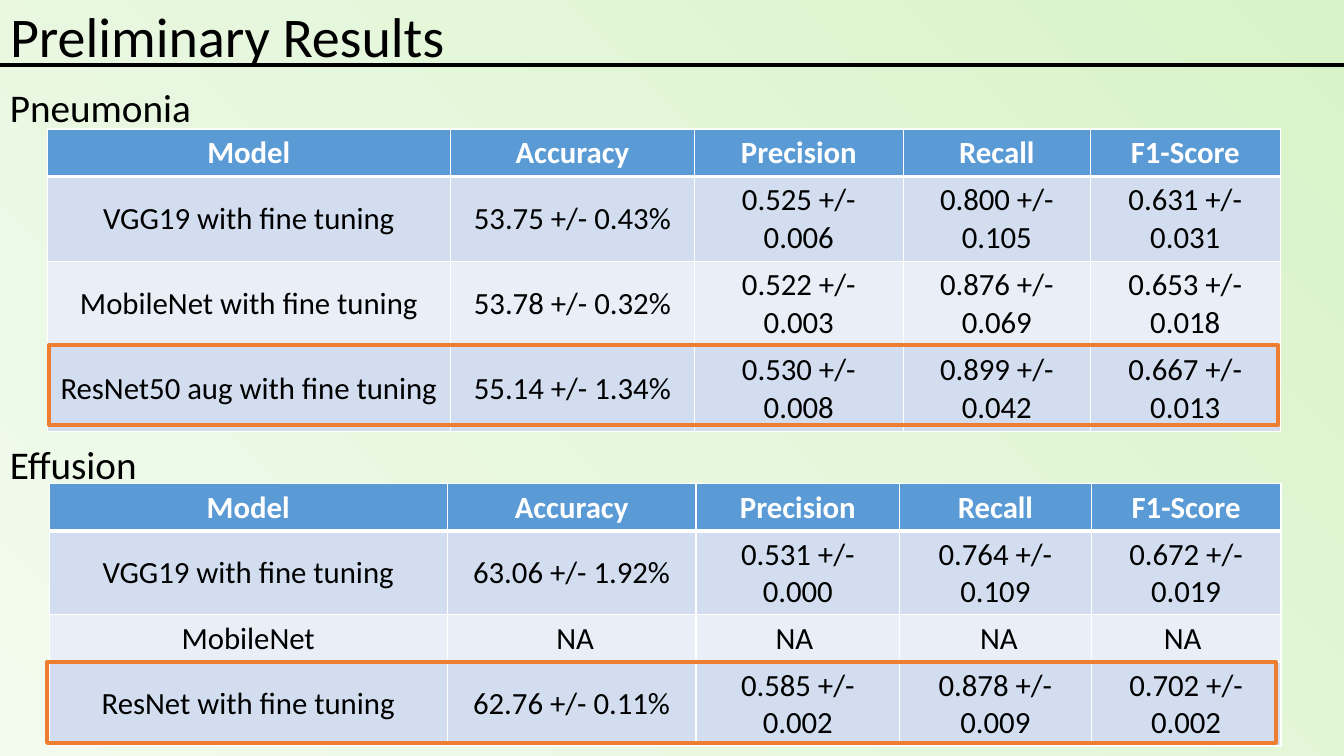
import lxml.etree
import pptx
import pptx.dml.color
import pptx.enum.dml
import pptx.enum.shapes
import pptx.enum.text
import pptx.oxml.ns
import pptx.util

Cm, Pt = pptx.util.Cm, pptx.util.Pt
RGBColor = pptx.dml.color.RGBColor
Anchor = pptx.enum.text.MSO_ANCHOR
Align = pptx.enum.text.PP_ALIGN
qn = pptx.oxml.ns.qn

BLACK = RGBColor(0x00, 0x00, 0x00)
WHITE = RGBColor(0xFF, 0xFF, 0xFF)
LEAF = RGBColor(0xD9, 0xF3, 0xC9)
MIST = RGBColor(0xF2, 0xFB, 0xEE)
HEADER_BLUE = RGBColor(0x5B, 0x9B, 0xD5)
BAND_DARK = RGBColor(0xD2, 0xDE, 0xEF)
BAND_LIGHT = RGBColor(0xEA, 0xEF, 0xF7)
ORANGE = RGBColor(0xED, 0x7D, 0x31)

WIDTH, HEIGHT = Cm(33.87), Cm(19.05)
HEADINGS = ("Model", "Accuracy", "Precision", "Recall", "F1-Score")
PNEUMONIA = (
    ("VGG19 with fine tuning", "53.75 +/- 0.43%", "0.525 +/- 0.006", "0.800 +/- 0.105", "0.631 +/- 0.031"),
    ("MobileNet with fine tuning", "53.78 +/- 0.32%", "0.522 +/- 0.003", "0.876 +/- 0.069", "0.653 +/- 0.018"),
    ("ResNet50 aug with fine tuning", "55.14 +/- 1.34%", "0.530 +/- 0.008", "0.899 +/- 0.042", "0.667 +/- 0.013"),
)
EFFUSION = (
    ("VGG19 with fine tuning", "63.06 +/- 1.92%", "0.531 +/- 0.000", "0.764 +/- 0.109", "0.672 +/- 0.019"),
    ("MobileNet", " NA", "NA ", " NA", "NA "),
    ("ResNet with fine tuning", "62.76 +/- 0.11%", "0.585 +/- 0.002", "0.878 +/- 0.009", "0.702 +/- 0.002"),
)


class ResultsSlide:
    """Holds the slide and its style, and draws each kind of element."""

    def __init__(self, slide, font="Calibri"):
        self.slide = slide
        self.shapes = slide.shapes
        self.font = font

    def add_text(self, frame, text, size, color=BLACK, bold=False, align=Align.LEFT):
        paragraph = frame.paragraphs[0]
        paragraph.alignment = align
        run = paragraph.add_run()
        run.text = text
        run.font.name = self.font
        run.font.size = Pt(size)
        run.font.bold = bold
        run.font.color.rgb = color
        return paragraph

    def rectangle(self, left, top, width, height):
        shape = self.shapes.add_shape(
            pptx.enum.shapes.MSO_SHAPE.RECTANGLE, left, top, width, height)
        shape.shadow.inherit = False
        return shape

    def backdrop(self):
        meadow = self.rectangle(0, 0, WIDTH, HEIGHT)
        meadow.line.fill.background()
        meadow.fill.gradient()
        meadow.fill.gradient_angle = 225
        for stop, color in zip(meadow.fill.gradient_stops, (LEAF, MIST)):
            stop.color.rgb = color

    def title(self, text):
        heading = self.shapes.title
        self.shapes.element.append(heading.element)
        heading.left, heading.top = 0, 0
        heading.width, heading.height = WIDTH, Cm(1.96)
        frame = heading.text_frame
        frame.auto_size = pptx.enum.text.MSO_AUTO_SIZE.NONE
        frame.vertical_anchor = Anchor.MIDDLE
        self.add_text(frame, text, 40).line_spacing = 0.9

    def rule(self, top):
        divider = self.shapes.add_connector(
            pptx.enum.shapes.MSO_CONNECTOR.STRAIGHT, 0, top, WIDTH, top)
        divider.line.color.rgb = BLACK
        divider.line.width = Pt(3)
        lxml.etree.SubElement(divider.element.spPr, qn("a:effectLst"))

    def label(self, text, top):
        caption = self.shapes.add_textbox(0, top, WIDTH, Cm(1.45))
        caption.text_frame.word_wrap = True
        self.add_text(caption.text_frame, text, 28)

    def borders(self, cell, bottom):
        properties = cell._tc.get_or_add_tcPr()
        for side, width in (("L", 1), ("R", 1), ("T", 1), ("B", bottom)):
            edge = lxml.etree.SubElement(properties, qn(f"a:ln{side}"), w=str(Pt(width)))
            fill = lxml.etree.SubElement(edge, qn("a:solidFill"))
            lxml.etree.SubElement(fill, qn("a:srgbClr"), val=str(WHITE))

    def table(self, results, left, top, height, widths):
        rows = (HEADINGS,) + results
        grid = self.shapes.add_table(
            len(rows), len(HEADINGS), left, top, Cm(sum(widths)), height).table
        for column, width in zip(grid.columns, widths):
            column.width = Cm(width)
        for r, values in enumerate(rows):
            grid.rows[r].height = Cm(1.04)
            header = r == 0
            fill = HEADER_BLUE if header else BAND_DARK if r % 2 else BAND_LIGHT
            for c, value in enumerate(values):
                cell = grid.cell(r, c)
                self.borders(cell, 3 if header else 1)
                cell.fill.solid()
                cell.fill.fore_color.rgb = fill
                cell.vertical_anchor = Anchor.TOP if header else Anchor.MIDDLE
                self.add_text(cell.text_frame, value, 22, WHITE if header else BLACK,
                              header, Align.CENTER)

    def highlight(self, left, top):
        best = self.rectangle(left, top, Cm(30.96), Cm(2.03))
        best.fill.background()
        best.line.color.rgb = ORANGE
        best.line.width = Pt(3)


def main():
    deck = pptx.Presentation()
    deck.slide_width, deck.slide_height = WIDTH, HEIGHT
    page = ResultsSlide(deck.slides.add_slide(deck.slide_layouts[5]))
    page.backdrop()
    page.title("Preliminary Results")
    page.rule(Cm(1.63))
    page.table(PNEUMONIA, Cm(1.19), Cm(3.25), Cm(7.54), (10.16, 6.15, 5.26, 4.72, 4.78))
    page.label("Pneumonia", Cm(1.98))
    page.highlight(Cm(1.24), Cm(8.69))
    page.table(EFFUSION, Cm(1.24), Cm(12.19), Cm(6.6), (10.03, 6.27, 5.13, 4.83, 4.78))
    page.label("Effusion", Cm(10.97))
    page.highlight(Cm(1.19), Cm(16.69))
    deck.save("out.pptx")


if __name__ == "__main__":
    main()
